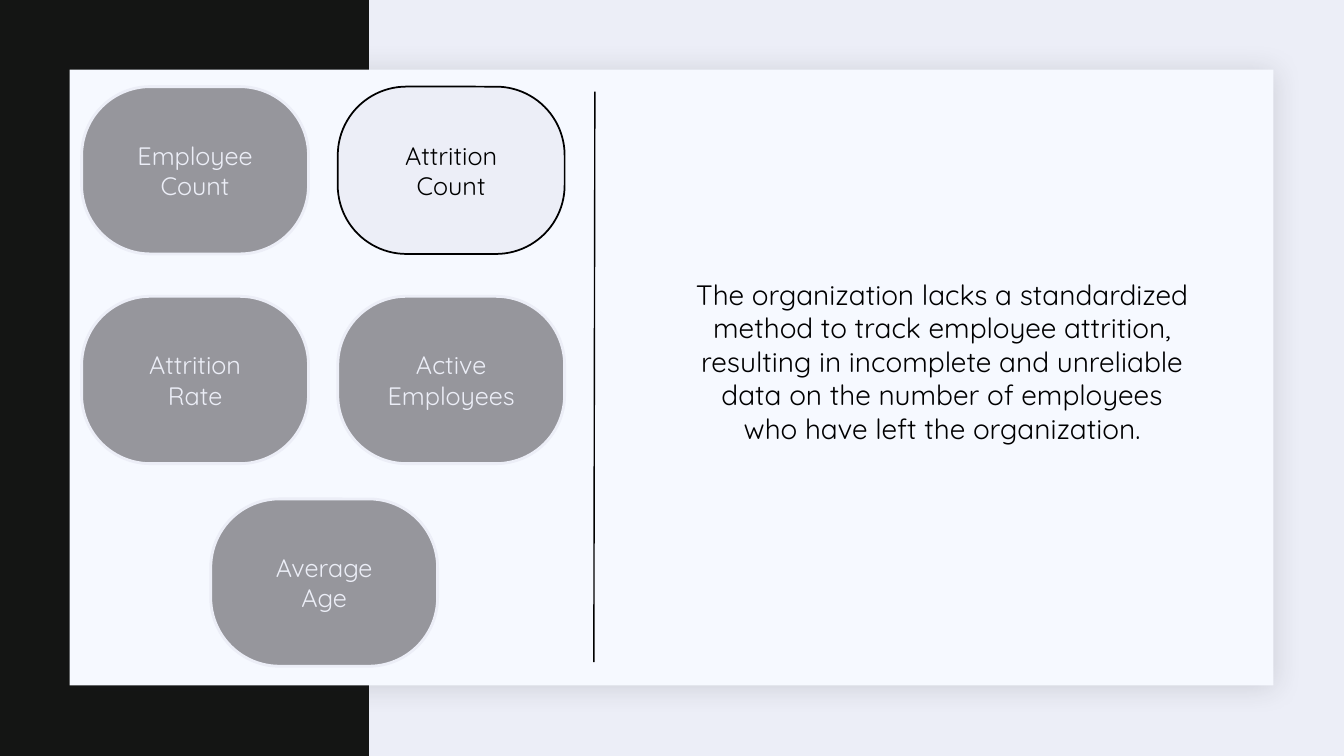
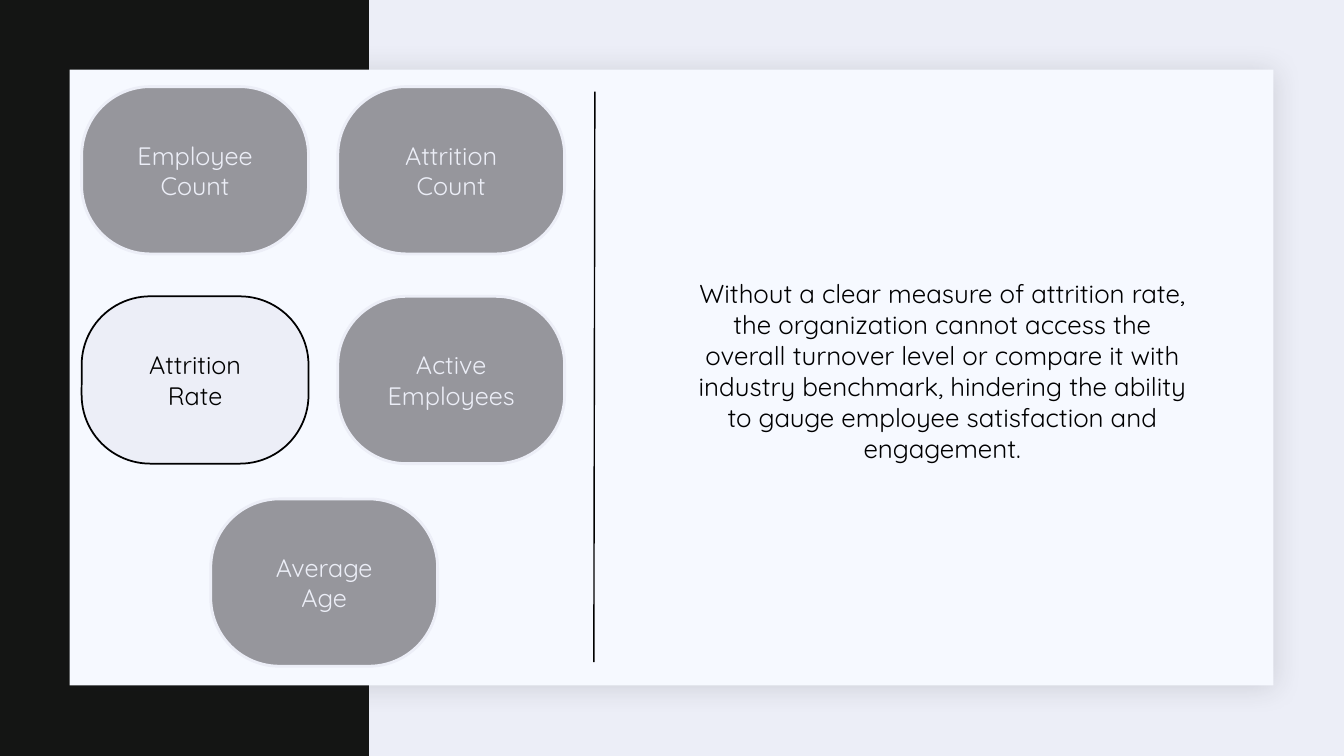
from lxml.etree import SubElement as SubEl
from pptx import Presentation
from pptx.dml.color import RGBColor as RGB
from pptx.enum.shapes import MSO_CONNECTOR as CONN, MSO_SHAPE as SHAPE
from pptx.enum.text import MSO_ANCHOR as ANCHOR, PP_ALIGN as ALIGN
from pptx.oxml.ns import qn
from pptx.util import Inches, Pt

COLORS = {
    "back": "ECEEF7",
    "band": "141514",
    "panel": "F6F9FF",
    "muted": "96969C",
    "ink": "000000",
    "shadow": "1F2125",
}
FONT = "Quicksand"
BUTTON_W, BUTTON_H = 2.25, 1.66
BUTTONS = [
    (0.81, 0.86, ["Employee", "Count"]),
    (3.35, 0.86, ["Attrition", "Count"]),
    (0.81, 2.94, ["Attrition", "Rate"]),
    (3.35, 2.94, ["Active Employees"]),
    (2.09, 4.95, ["Average", "Age"]),
]
SLIDES = [
    (["Attrition", "Count"], 20,
     "The organization lacks a standardized method to track employee "
     "attrition, resulting in incomplete and unreliable data on the number "
     "of employees who have left the organization."),
    (["Attrition", "Rate"], 18.5,
     "Without a clear measure of attrition rate, the organization cannot "
     "access the overall turnover level or compare it with industry "
     "benchmark, hindering the ability to gauge employee satisfaction and "
     "engagement."),
]


def color(name):
    return RGB.from_string(COLORS[name])


class Deck:
    def __init__(self):
        self.prs = Presentation()
        self.prs.slide_width = Inches(13.33)
        self.prs.slide_height = Inches(7.5)
        self.s = None

    def slide(self):
        self.s = self.prs.slides.add_slide(self.prs.slide_layouts[6])
        fill = self.s.background.fill
        fill.solid()
        fill.fore_color.rgb = color("back")
        self.shape(SHAPE.RECTANGLE, 0, 0, 3.66, 7.5, "band")
        panel = self.shape(SHAPE.RECTANGLE, 0.69, 0.69, 11.94, 6.11, "panel")
        self.shadow(panel)

    def shape(self, kind, x, y, w, h, fill, line=None, width=1):
        sp = self.s.shapes.add_shape(
            kind, Inches(x), Inches(y), Inches(w), Inches(h))
        sp.shadow.inherit = False
        sp.fill.solid()
        sp.fill.fore_color.rgb = color(fill)
        if line:
            sp.line.color.rgb = color(line)
            sp.line.width = Pt(width)
        else:
            sp.line.fill.background()
        return sp

    def shadow(self, sp):
        effects = sp.element.spPr.find(qn("a:effectLst"))
        shadow = SubEl(effects, qn("a:outerShdw"), blurRad=str(Pt(20)),
                       dist=str(Pt(2)), dir=str(45 * 60000),
                       algn="ctr", rotWithShape="0")
        tone = SubEl(shadow, qn("a:srgbClr"), val=COLORS["shadow"])
        SubEl(tone, qn("a:alpha"), val="15000")

    def run(self, p, text, size, ink):
        p.alignment = ALIGN.CENTER
        r = p.add_run()
        r.text = text
        r.font.name = FONT
        r.font.size = Pt(size)
        r.font.color.rgb = color(ink)

    def button(self, x, y, lines, active):
        fill, line, width, ink = (
            ("back", "ink", 1.25, "ink") if active
            else ("muted", "back", 2, "back"))
        sp = self.shape(SHAPE.ROUNDED_RECTANGLE, x, y, BUTTON_W, BUTTON_H,
                        fill, line, width)
        sp.adjustments[0] = 0.41
        tf = sp.text_frame
        tf.word_wrap = True
        tf.vertical_anchor = ANCHOR.MIDDLE
        for i, text in enumerate(lines):
            p = tf.add_paragraph() if i else tf.paragraphs[0]
            self.run(p, text, 18, ink)

    def divider(self, x1, y1, x2, y2):
        line = self.s.shapes.add_connector(
            CONN.STRAIGHT, Inches(x1), Inches(y1), Inches(x2), Inches(y2))
        line.line.color.rgb = color("ink")
        line.line.width = Pt(1)
        SubEl(line.element.spPr, qn("a:effectLst"))

    def body(self, x, y, w, h, text, size):
        box = self.s.shapes.add_textbox(
            Inches(x), Inches(y), Inches(w), Inches(h))
        tf = box.text_frame
        tf.word_wrap = True
        tf.margin_left = Inches(0.1)
        tf.margin_right = 0
        self.run(tf.paragraphs[0], text, size, "ink")


def main():
    deck = Deck()
    for topic, size, text in SLIDES:
        deck.slide()
        for x, y, lines in BUTTONS:
            deck.button(x, y, lines, lines == topic)
        deck.divider(5.9, 0.91, 5.89, 6.57)
        deck.body(6.76, 2.7, 5.07, 2.18, text, size)
    deck.prs.save("out.pptx")


if __name__ == "__main__":
    main()
